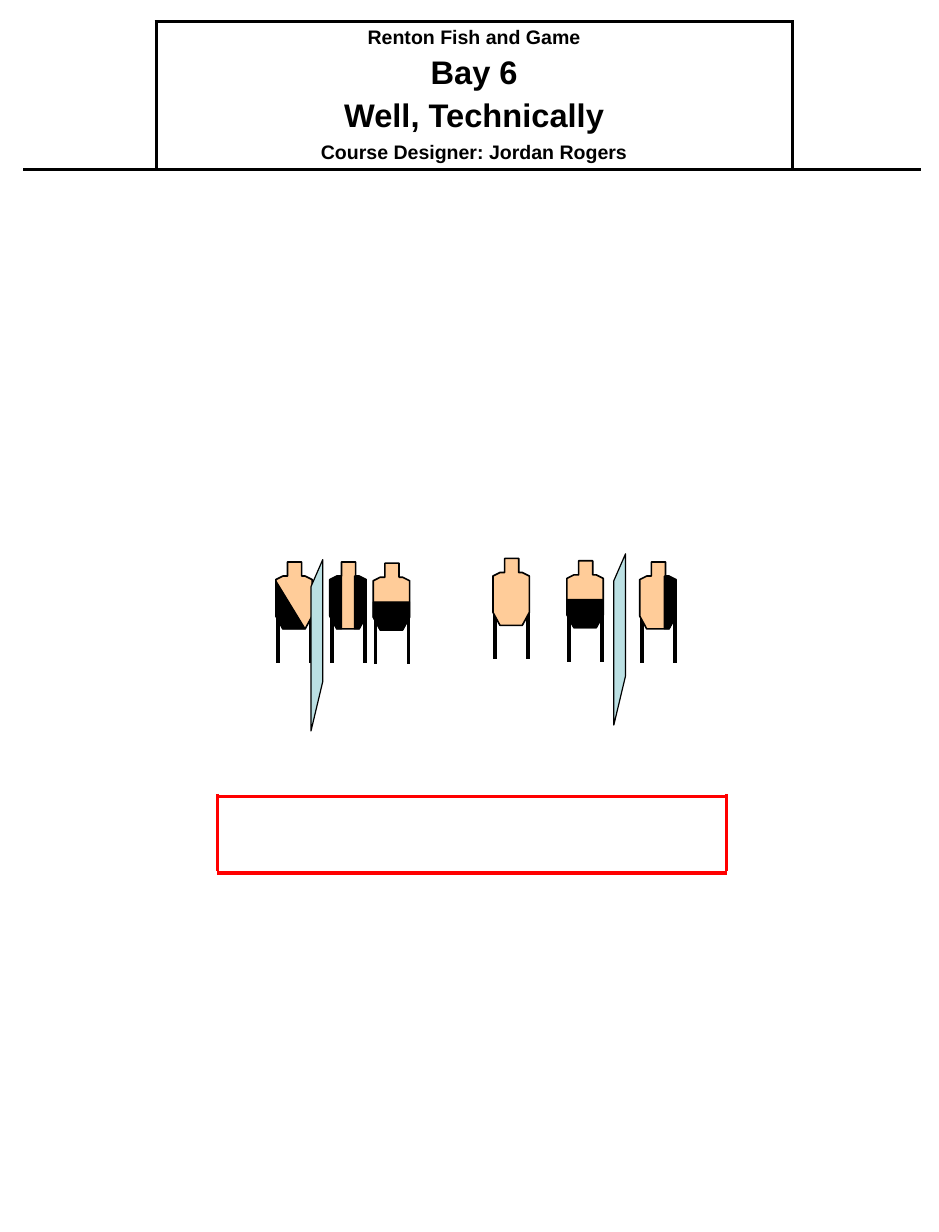
from lxml.etree import SubElement
from pptx import Presentation
from pptx.dml.color import RGBColor
from pptx.enum.shapes import MSO_CONNECTOR
from pptx.enum.text import MSO_ANCHOR, PP_ALIGN
from pptx.oxml.ns import qn
from pptx.util import Inches, Pt

BLACK = RGBColor(0x00, 0x00, 0x00)
WHITE = RGBColor(0xFF, 0xFF, 0xFF)
RED = RGBColor(0xFF, 0x00, 0x00)
TAN = RGBColor(0xFF, 0xCC, 0x99)
TEAL = RGBColor(0xBB, 0xE0, 0xE3)

deck = Presentation()
deck.slide_width, deck.slide_height = Inches(8), Inches(10.5)
slide = deck.slides.add_slide(deck.slide_layouts[6])


def add_line(group, x1, y1, x2, y2, color, width):
    line = group.shapes.add_connector(
        MSO_CONNECTOR.STRAIGHT, Inches(x1), Inches(y1), Inches(x2), Inches(y2))
    line.line.color.rgb = color
    line.line.width = Pt(width)
    SubElement(line._element.spPr, qn("a:effectLst"))


def add_outline(group, left, top, points, fill, width):
    spots = [(Inches(left + x), Inches(top + y)) for x, y in points]
    pen = group.shapes.build_freeform(*spots[0])
    pen.add_line_segments(spots[1:], close=True)
    shape = pen.convert_to_shape()
    shape.shadow.inherit = False
    shape.fill.solid()
    shape.fill.fore_color.rgb = fill
    shape.line.color.rgb = BLACK
    shape.line.width = Pt(width)


# Heading table
widths = [1.14, 5.42, 1.1]
table = slide.shapes.add_table(
    1, 3, Inches(0.19), Inches(0.18), Inches(sum(widths)), Inches(1.08)).table
table.first_row = table.horz_banding = False
table.rows[0].height = Inches(1.08)
borders = [("R", "B"), ("L", "R", "T", "B"), ("L", "B")]
for col, width in enumerate(widths):
    table.columns[col].width = Inches(width)
    cell = table.cell(0, col)
    props = cell._tc.get_or_add_tcPr()
    for side in borders[col]:
        edge = SubElement(props, qn(f"a:ln{side}"), w=str(Pt(2.25)))
        paint = SubElement(edge, qn("a:solidFill"))
        SubElement(paint, qn("a:srgbClr"), val=str(BLACK))
    cell.fill.solid()
    cell.fill.fore_color.rgb = WHITE

# Heading text
title = table.cell(0, 1)
title.vertical_anchor = MSO_ANCHOR.MIDDLE
title.margin_left = title.margin_right = Inches(0.05)
title.margin_top = title.margin_bottom = Inches(0.05)
rows = [
    ("Renton Fish and Game", 12, 0),
    ("Bay 6", 20, 4),
    ("Well, Technically", 20, 4),
    ("Course Designer: Jordan Rogers", 12, 4.2),
]
title.text_frame.text = "\n".join(text for text, size, gap in rows)
for para, (text, size, gap) in zip(title.text_frame.paragraphs, rows):
    para.alignment = PP_ALIGN.CENTER
    if gap:
        para.space_before = Pt(gap)
    font = para.runs[0].font
    font.name, font.size, font.bold = "Arial", Pt(size), True
    font.color.rgb = BLACK

# Red shooting area
area = slide.shapes.add_group_shape()
for y in (6.79, 7.44):
    add_line(area, 6.19, y, 1.85, y, RED, 2)
for x in (6.19, 1.85):
    add_line(area, x, 6.77, x, 7.42, RED, 2)

# Target outline and black masks, measured from a target's top left
body = [(0.1, 0), (0.22, 0), (0.22, 0.12), (0.25, 0.12), (0.31, 0.15),
        (0.31, 0.46), (0.25, 0.57), (0.06, 0.57), (0, 0.46), (0, 0.15),
        (0.06, 0.12), (0.1, 0.12)]
slant = [(0, 0.16), (0, 0.46), (0.06, 0.57), (0.25, 0.57)]
low = [(0, 0.33), (0.31, 0.33), (0.31, 0.46), (0.25, 0.57), (0.06, 0.57), (0, 0.46)]
right = [(0.21, 0.12), (0.21, 0.57), (0.25, 0.57), (0.31, 0.46), (0.31, 0.16), (0.25, 0.12)]
left = [(0.31 - x, y) for x, y in right]

# Targets on their stands
targets = [
    (2.35, 4.79, [slant]),
    (4.2, 4.76, []),
    (3.18, 4.8, [low]),
    (4.83, 4.78, [low]),
    (2.81, 4.79, [right, left]),
    (5.45, 4.79, [right]),
]
for x, y, masks in targets:
    target = slide.shapes.add_group_shape()
    for leg in (0.02, 0.3):
        add_line(target, x + leg, y + 0.43, x + leg, y + 0.86, BLACK, 2.25)
    add_outline(target, x, y, body, TAN, 1)
    for mask in masks:
        add_outline(target, x, y, mask, BLACK, 0.75)

# Walls
wall = [(0, 1.46), (0, 0.23), (0.1, 0), (0.1, 1.04)]
for x, y in ((2.65, 4.77), (5.23, 4.72)):
    add_outline(slide, x, y, wall, TEAL, 0.75)

deck.save("out.pptx")
